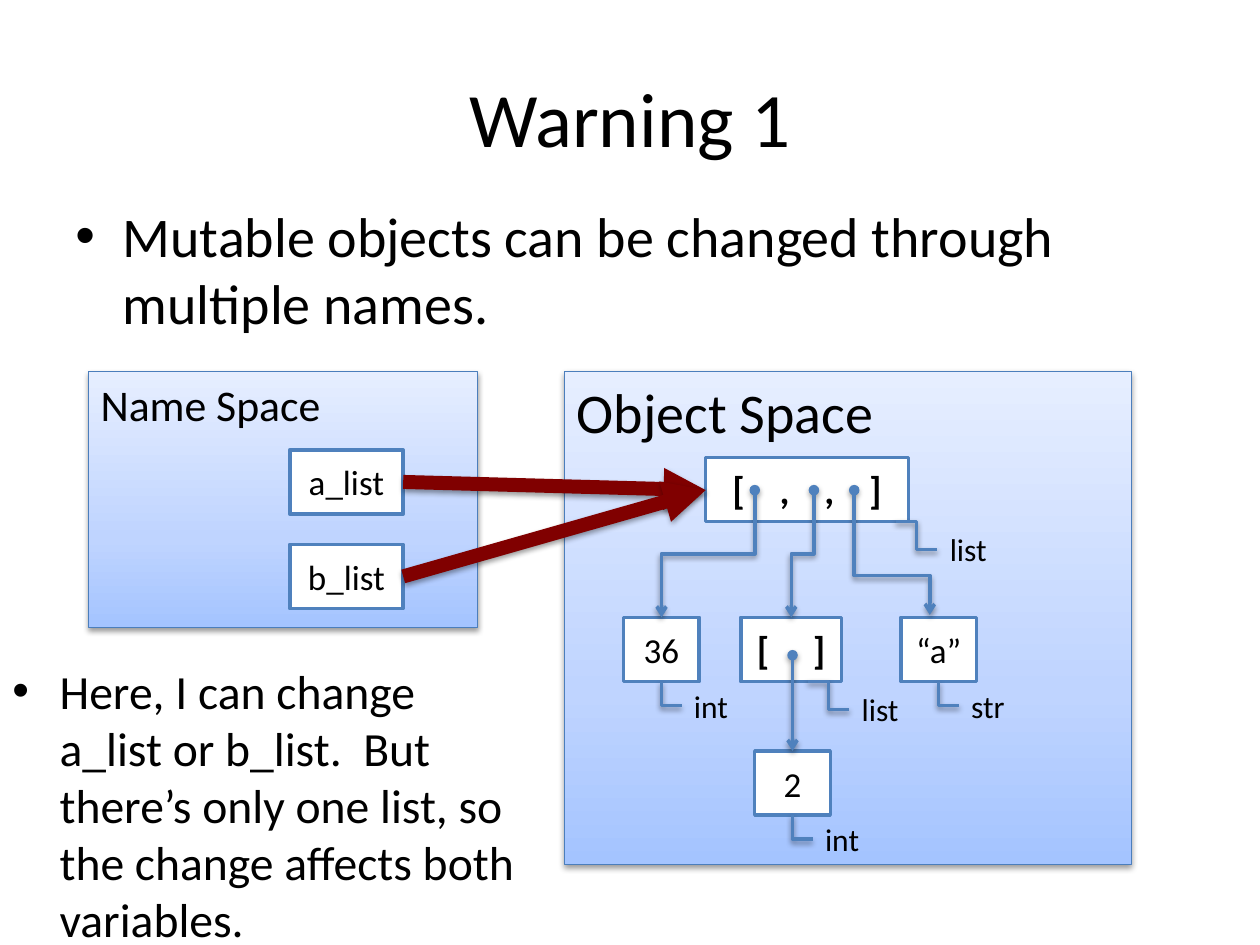
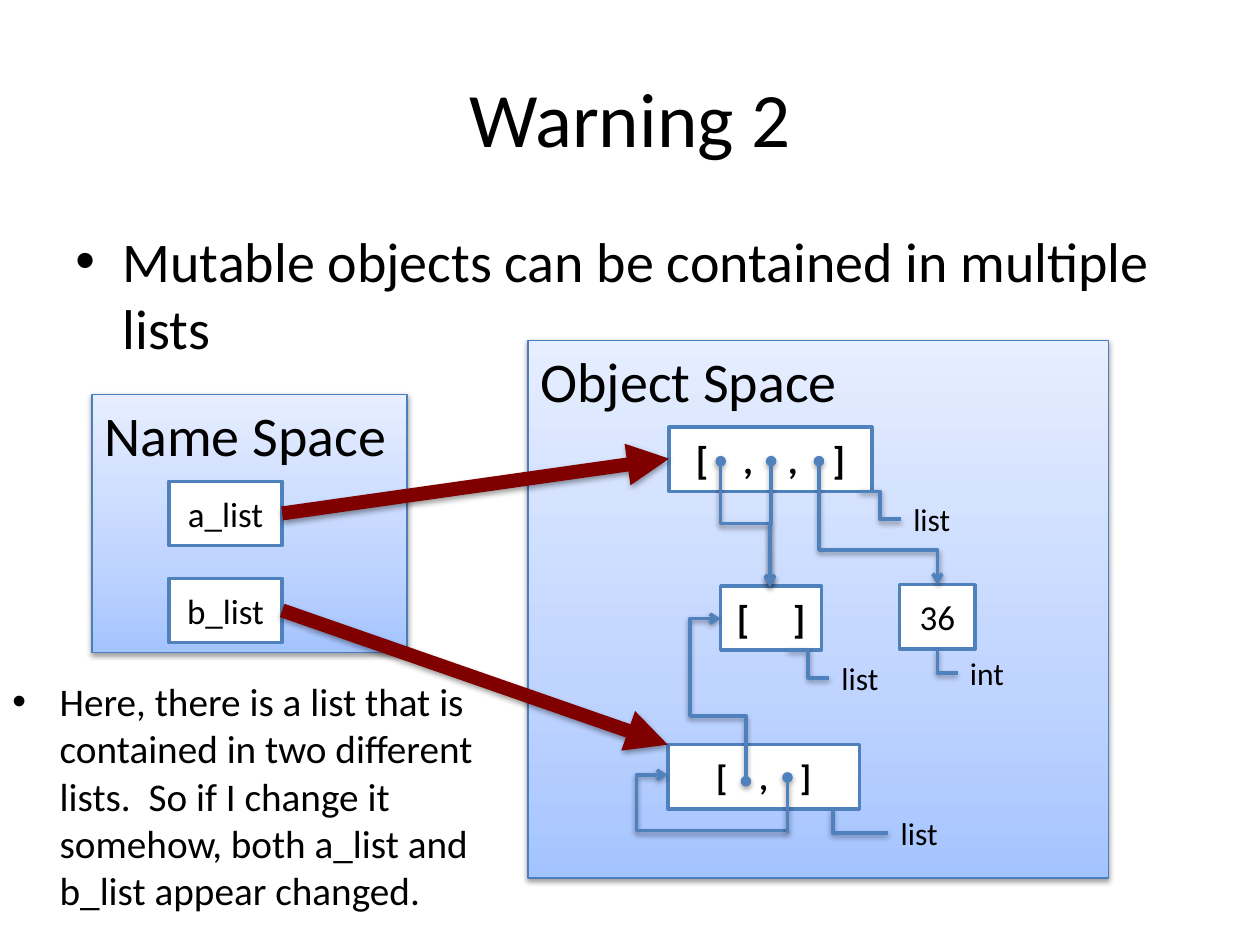
from lxml.etree import SubElement
from pptx import Presentation
from pptx.dml.color import RGBColor
from pptx.enum.shapes import MSO_CONNECTOR as Connector, MSO_SHAPE as Preset
from pptx.enum.text import MSO_ANCHOR as Anchor, PP_ALIGN as Align
from pptx.oxml.ns import qn
from pptx.util import Emu, Inches, Pt

COLORS = {
    "text": "000000", "paper": "FFFFFF", "edge": "4F81BD", "panel_edge": "4B7EBC",
    "reference": "800000", "shadow": "000000",
}
PANEL_STOPS = {0: "A4C4FF", 35: "BFD4FF", 100: "E6EEFF"}
FONT = "Calibri"
SLIDE_WIDTH, SLIDE_HEIGHT = Inches(10), Inches(7.5)
COLUMNS = 100
CELL = SLIDE_WIDTH / COLUMNS
BOX_HEIGHT = 5.1
SPACE_SHARE = 0.226
TURNS = {
    (False, True, True): (0, None),
    (False, False, False): (180, None),
    (True, False, True): (90, None),
    (True, True, True): (270, "flipH"),
    (True, False, False): (270, "flipV"),
}


def grid(*cells):
    return [Emu(round(cell * CELL)) for cell in cells]


def color(name):
    return RGBColor.from_string(COLORS[name])


def apply_format(target, values):
    for name, value in values.items():
        setattr(target, name, value)


def add_node(parent, tag, **attributes):
    node = SubElement(parent, qn(tag))
    for name, value in attributes.items():
        node.set(name, str(value))
    return node


def add_run(paragraph, text, size, bold=False):
    run = paragraph.add_run()
    run.text = text
    apply_format(run.font, {"name": FONT, "size": Pt(size), "bold": bold})
    run.font.color.rgb = color("text")
    return run


def add_spaced_text(paragraph, tokens, gap, size):
    for index, token in enumerate(tokens):
        if index:
            space = add_run(paragraph, " ", size, True)
            tracking = round((gap - 1) * SPACE_SHARE * size * 100)
            space.font._element.set("spc", str(tracking))
        add_run(paragraph, token, size, True)


def add_shadow(properties):
    effects = properties.find(qn("a:effectLst"))
    if effects is None:
        effects = add_node(properties, "a:effectLst")
    shadow = add_node(effects, "a:outerShdw", blurRad=40000, dist=20000,
                      dir=5400000, rotWithShape=0)
    tint = add_node(shadow, "a:srgbClr", val=COLORS["shadow"])
    add_node(tint, "a:alpha", val=38000)


def add_rectangle(slide, left, top, width, height, edge, weight):
    shape = slide.shapes.add_shape(Preset.RECTANGLE, *grid(left, top, width, height))
    shape.shadow.inherit = False
    shape.line.color.rgb = color(edge)
    shape.line.width = Pt(weight)
    return shape


def add_panel(slide, text, left, top, width, height, size=32):
    panel = add_rectangle(slide, left, top, width, height, "panel_edge", 0.75)
    panel.fill.gradient()
    panel.fill.gradient_angle = 90
    properties = panel.element.spPr
    stops = properties.find(qn("a:gradFill")).find(qn("a:gsLst"))
    for stop in list(stops):
        stops.remove(stop)
    for position, shade in PANEL_STOPS.items():
        stop = add_node(stops, "a:gs", pos=position * 1000)
        add_node(stop, "a:srgbClr", val=shade)
    add_shadow(properties)
    panel.text_frame.vertical_anchor = Anchor.TOP
    paragraph = panel.text_frame.paragraphs[0]
    paragraph.alignment = Align.LEFT
    add_run(paragraph, text, size)


def add_box(slide, left, top, width):
    box = add_rectangle(slide, left, top, width, BOX_HEIGHT, "edge", 2)
    box.fill.solid()
    box.fill.fore_color.rgb = color("paper")
    box.text_frame.vertical_anchor = Anchor.MIDDLE
    paragraph = box.text_frame.paragraphs[0]
    paragraph.alignment = Align.CENTER
    return paragraph


def finish_line(connector, shade="edge", weight=2, head=None, tail=None):
    connector.line.color.rgb = color(shade)
    connector.line.width = Pt(weight)
    properties = connector.element.spPr
    outline = properties.find(qn("a:ln"))
    for tag, kind in (("a:headEnd", head), ("a:tailEnd", tail)):
        if kind:
            add_node(outline, tag, type=kind)
    add_shadow(properties)


def add_straight(slide, start, end, **line_format):
    connector = slide.shapes.add_connector(Connector.STRAIGHT, *grid(*start, *end))
    finish_line(connector, **line_format)


def add_elbow(slide, start, end, bends=(0.5,), vertical=False, **line_format):
    across, down = end[0] - start[0], end[1] - start[1]
    width, height = abs(across), abs(down)
    if vertical:
        width, height = height, width
    left = (start[0] + end[0] - width) / 2
    top = (start[1] + end[1] - height) / 2
    connector = slide.shapes.add_connector(
        Connector.ELBOW, *grid(left, top, left + width, top + height))
    properties = connector.element.spPr
    rotation, flip = TURNS[vertical, across > 0, down > 0]
    frame = properties.find(qn("a:xfrm"))
    frame.set("rot", str(rotation * 60000))
    if flip:
        frame.set(flip, "1")
    geometry = properties.find(qn("a:prstGeom"))
    geometry.set("prst", f"bentConnector{len(bends) + 2}")
    guides = geometry.find(qn("a:avLst"))
    for number, bend in enumerate(bends, 1):
        add_node(guides, "a:gd", name=f"adj{number}", fmla=f"val {round(bend * 100000)}")
    finish_line(connector, **line_format)


def add_pointer(slide, start, end, bends=(0.5,)):
    add_elbow(slide, start, end, bends, vertical=True, head="oval", tail="arrow")


def add_type_tag(slide, text, start, across, down, **route):
    end = start[0] + across, start[1] + down
    add_elbow(slide, start, end, **route)
    label = slide.shapes.add_textbox(*grid(end[0], end[1] - 2, 5, 4))
    label.text_frame.word_wrap = False
    add_run(label.text_frame.paragraphs[0], text, 18)


def add_scalar(slide, text, type_name, left, top):
    add_run(add_box(slide, left, top, 6), text, 20)
    add_type_tag(slide, type_name, (left + 3, top + BOX_HEIGHT), 1.6, 1.9,
                 bends=(), vertical=True)


def add_list(slide, tokens, gap, left, top, width, tag_inset, size=22,
             across=3.3, down=2.2, **route):
    add_spaced_text(add_box(slide, left, top, width), tokens, gap, size)
    start = left + width - tag_inset, top + BOX_HEIGHT
    add_type_tag(slide, "list", start, across, down, **route)


def add_name(slide, text, left, top, target):
    add_run(add_box(slide, left, top, 9), text, 20)
    add_straight(slide, (left + 9, top + BOX_HEIGHT / 2), target,
                 shade="reference", weight=8, tail="triangle")


def add_bullet(slide, text, left, top, width, height, size):
    box = slide.shapes.add_textbox(*grid(left, top, width, height))
    box.text_frame.word_wrap = True
    paragraph = box.text_frame.paragraphs[0]
    properties = paragraph._p.get_or_add_pPr()
    properties.set("marL", str(Inches(0.375)))
    properties.set("indent", str(-Inches(0.375)))
    spacing = add_node(properties, "a:spcBef")
    add_node(spacing, "a:spcPct", val=20000)
    add_node(properties, "a:buFont", typeface="Arial")
    add_node(properties, "a:buChar", char="•")
    add_run(paragraph, text, size)


def add_titled_slide(presentation, text):
    slide = presentation.slides.add_slide(presentation.slide_layouts[5])
    title = slide.shapes.title
    left, top, width, height = grid(5, 3, 90, 12.5)
    apply_format(title, {"left": left, "top": top, "width": width, "height": height})
    title.text_frame.vertical_anchor = Anchor.MIDDLE
    paragraph = title.text_frame.paragraphs[0]
    paragraph.alignment = Align.CENTER
    add_run(paragraph, text, 44)
    return slide


def build_shared_names(presentation):
    slide = add_titled_slide(presentation, "Warning 1")
    add_bullet(slide, "Mutable objects can be changed through multiple names.",
               5, 15.5, 90, 51.5, 32)
    add_panel(slide, "Object Space", 44.8, 29.5, 45, 39.1)
    add_panel(slide, "Name Space", 7, 29.5, 30.9, 20.3, 25)

    add_list(slide, "[,,]", 4, 56, 36.3, 16.1, 1)
    add_list(slide, "[]", 5, 58.8, 49, 8, 2.7)
    for text, type_name, left, top in (
            ("36", "int", 49.5, 49), ("“a”", "str", 71.5, 49), ("2", "int", 59.9, 59.6)):
        add_scalar(slide, text, type_name, left, top)

    add_pointer(slide, (59.9, 38.9), (52.5, 49))
    add_pointer(slide, (64.6, 38.9), (62.8, 49))
    add_pointer(slide, (67.8, 38.9), (73.8, 48.8), (0.684,))
    add_straight(slide, (62.9, 52), (62.9, 59.6), head="oval", tail="arrow")

    for text, top in (("a_list", 35.7), ("b_list", 43.2)):
        add_name(slide, text, 23, top, (56, 38.9))
    add_bullet(slide, "Here, I can change a_list or b_list.  But there’s only one list, "
               "so the change affects both variables.", 0, 52, 42, 20.1, 27.2)


def build_shared_contents(presentation):
    slide = add_titled_slide(presentation, "Warning 2")
    add_bullet(slide, "Mutable objects can be contained in multiple lists",
               5, 17.5, 90, 49.5, 32)
    add_panel(slide, "Object Space", 41.9, 27, 46.1, 42.7)
    add_panel(slide, "Name Space", 7.3, 31.3, 25, 20.5)

    add_list(slide, "[,,]", 4, 53.1, 33.9, 16.1, 1)
    add_list(slide, "[]", 5, 57.2, 46.5, 8, 2.7)
    add_list(slide, "[,]", 4, 53, 59.1, 15.2, 2.1, size=20,
             across=4.4, down=1.9, bends=(), vertical=True)
    add_scalar(slide, "36", "int", 71.4, 46.4)

    add_pointer(slide, (57.2, 36.6), (61.1, 46.5))
    add_pointer(slide, (61.2, 36.6), (61.1, 46.6))
    add_pointer(slide, (65, 36.6), (74.4, 46.4), (0.72,))
    add_pointer(slide, (59.2, 62), (57.2, 49.1), (0.401, 2.224))
    add_elbow(slide, (62.5, 65.9), (53, 61.5), (1.262,), tail="arrow")
    add_straight(slide, (62.5, 61.7), (62.5, 66.1), head="oval")

    for text, top, target in (("a_list", 38.2, (53.1, 36.4)), ("b_list", 45.9, (53, 59.1))):
        add_name(slide, text, 13.4, top, target)
    add_bullet(slide, "Here, there is a list that is contained in two different lists.  "
               "So if I change it somehow, both a_list and b_list appear changed.",
               0, 53.3, 42, 20.1, 22.4)


def main():
    presentation = Presentation()
    apply_format(presentation, {"slide_width": SLIDE_WIDTH, "slide_height": SLIDE_HEIGHT})
    build_shared_names(presentation)
    build_shared_contents(presentation)
    presentation.save("out.pptx")


if __name__ == "__main__":
    main()
